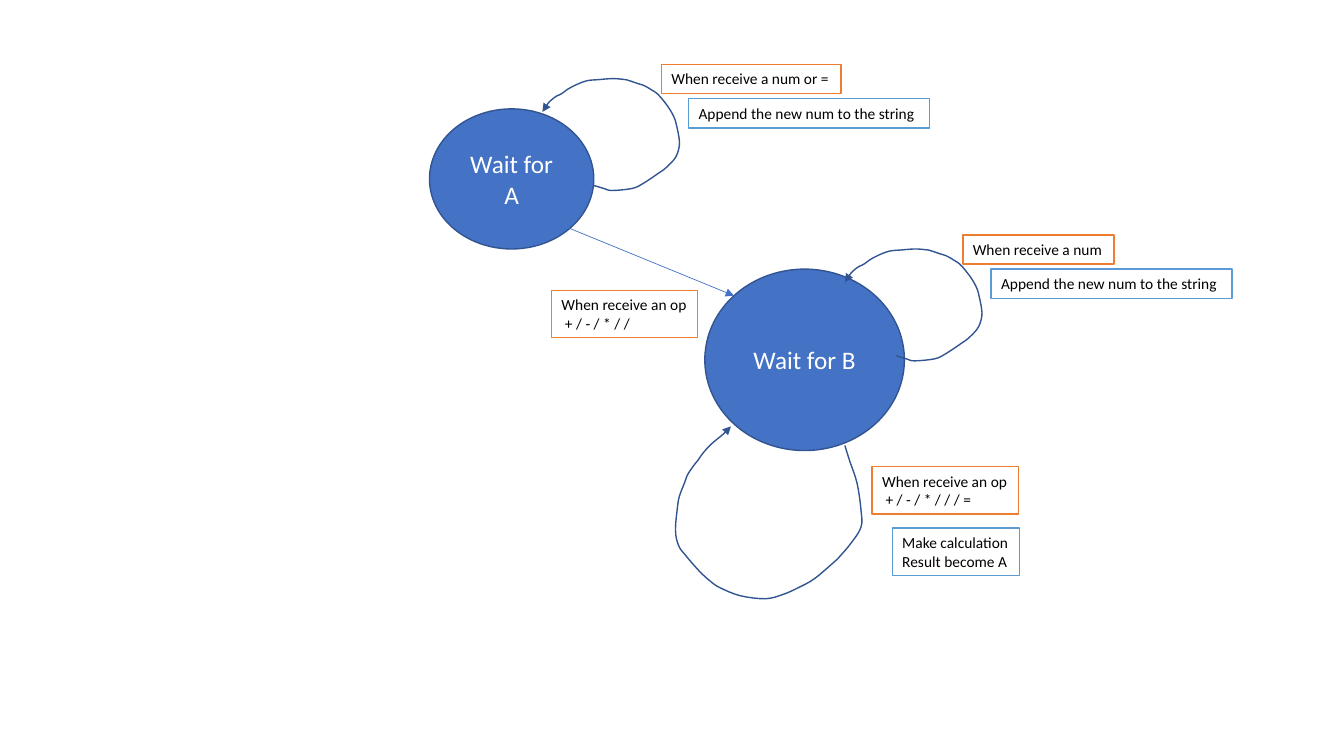
from math import sqrt

from lxml import etree
from pptx import Presentation
from pptx.dml.color import RGBColor
from pptx.enum import shapes, text
from pptx.oxml.ns import qn
from pptx.util import Inches, Pt

COLORS = {"state": "4472C4", "outline": "325491", "event": "ED7D31",
          "action": "5B9BD5", "paper": "FFFFFF", "ink": "000000"}
FONT = "Calibri"

STATES = {"Wait for A": (4.26, 1.08, 1.63, 1.39),
          "Wait for B": (6.99, 2.67, 1.98, 1.8)}
TRANSITION = ("Wait for A", "Wait for B")

APPEND = ["Append the new num to the string "]
LABELS = [
    ("event", ["When receive an op", " + / - / * / /"], (5.47, 2.88, 1.45, 0.47)),
    ("event", ["When receive a num or ="], (6.56, 0.64, 1.78, 0.29)),
    ("action", APPEND, (6.83, 0.98, 2.39, 0.29)),
    ("event", ["When receive a num"], (9.55, 2.33, 1.5, 0.29)),
    ("action", APPEND, (9.83, 2.67, 2.39, 0.29)),
    ("event", ["When receive an op", " + / - / * / / / ="], (8.65, 4.63, 1.45, 0.47)),
    ("action", ["Make calculation", "Result become A"], (8.85, 5.24, 1.26, 0.47)),
]

NUMBER_LOOP = [
    (5.89, 1.84), (5.99, 1.87), (6.07, 1.89), (6.27, 1.87), (6.38, 1.82),
    (6.53, 1.72), (6.6, 1.67), (6.68, 1.59), (6.72, 1.52), (6.74, 1.41),
    (6.71, 1.24), (6.68, 1.15), (6.62, 1.05), (6.53, 0.94), (6.46, 0.89),
    (6.39, 0.85), (6.33, 0.83), (6.24, 0.8), (6.2, 0.79), (6.08, 0.78),
    (5.94, 0.79), (5.83, 0.8), (5.74, 0.83), (5.64, 0.88), (5.57, 0.93),
    (5.51, 0.96), (5.45, 1.01), (5.42, 1.05), (5.38, 1.11),
]
OPERATOR_LOOP = [
    (8.38, 4.42), (8.43, 4.58), (8.5, 4.79), (8.54, 5.06), (8.54, 5.23),
    (8.44, 5.39), (8.33, 5.52), (8.28, 5.57), (8.08, 5.74), (7.92, 5.83),
    (7.76, 5.9), (7.59, 5.94), (7.34, 5.91), (7.14, 5.83), (7.05, 5.77),
    (6.94, 5.67), (6.8, 5.51), (6.73, 5.41), (6.7, 5.26), (6.72, 5.03),
    (6.74, 4.92), (6.79, 4.79), (6.82, 4.71), (6.88, 4.62), (6.92, 4.57),
    (6.97, 4.5), (7.05, 4.41), (7.17, 4.31), (7.25, 4.23),
]
LOOPS = [(NUMBER_LOOP, 0, 0), (NUMBER_LOOP, 3, 1.69), (OPERATOR_LOOP, 0, 0)]


def rgb(name):
    return RGBColor.from_string(COLORS[name])


def draw_line(part, color, width=1):
    part.line.color.rgb = rgb(color)
    part.line.width = Pt(width)


def add_arrowhead(part):
    etree.SubElement(part.line._get_or_add_ln(), qn("a:tailEnd"), type="triangle")


def add_box(preset, place, fill, line, lines, size, color):
    box = slide.shapes.add_shape(preset, *map(Inches, place))
    box.shadow.inherit = False
    box.fill.solid()
    box.fill.fore_color.rgb = rgb(fill)
    draw_line(box, line)
    frame = box.text_frame
    frame.text = "\n".join(lines)
    for paragraph in frame.paragraphs:
        paragraph.font.name = FONT
        paragraph.font.size = Pt(size)
        paragraph.font.color.rgb = rgb(color)
        paragraph.alignment = text.PP_ALIGN.LEFT
    return frame


def diagonal_point(state, side):
    left, top, width, height = STATES[state]
    reach = side / sqrt(8)
    return Inches(left + width * (0.5 + reach)), Inches(top + height * (0.5 + reach))


def smooth(points, steps=4):
    padded = [points[0], *points, points[-1]]
    for a, b, c, d in zip(padded, padded[1:], padded[2:], padded[3:]):
        for step in range(steps):
            t = step / steps
            yield tuple(
                q + t * (r - p + t * (2 * p - 5 * q + 4 * r - s + t * (3 * (q - r) + s - p))) / 2
                for p, q, r, s in zip(a, b, c, d))
    yield points[-1]


deck = Presentation()
deck.slide_width, deck.slide_height = Inches(13.33), Inches(7.5)
slide = deck.slides.add_slide(deck.slide_layouts[6])

for state, place in STATES.items():
    frame = add_box(shapes.MSO_SHAPE.OVAL, place, "state", "outline", [state], 18, "paper")
    frame.vertical_anchor = text.MSO_ANCHOR.MIDDLE
    frame.paragraphs[0].alignment = text.PP_ALIGN.CENTER

source, target = TRANSITION
transition = slide.shapes.add_connector(
    shapes.MSO_CONNECTOR.STRAIGHT, *diagonal_point(source, 1), *diagonal_point(target, -1))
draw_line(transition, "state", 0.5)
add_arrowhead(transition)
etree.SubElement(transition._element.spPr, qn("a:effectLst"))

for points, dx, dy in LOOPS:
    start, *rest = [(Inches(x + dx), Inches(y + dy)) for x, y in smooth(points)]
    builder = slide.shapes.build_freeform(*start)
    builder.add_line_segments(rest, close=False)
    loop = builder.convert_to_shape()
    loop.shadow.inherit = False
    loop.fill.background()
    draw_line(loop, "outline")
    add_arrowhead(loop)

for kind, lines, place in LABELS:
    frame = add_box(shapes.MSO_SHAPE.RECTANGLE, place, "paper", kind, lines, 11, "ink")
    frame.word_wrap = False
    frame.auto_size = text.MSO_AUTO_SIZE.SHAPE_TO_FIT_TEXT
    frame.vertical_anchor = text.MSO_ANCHOR.TOP

deck.save("out.pptx")
